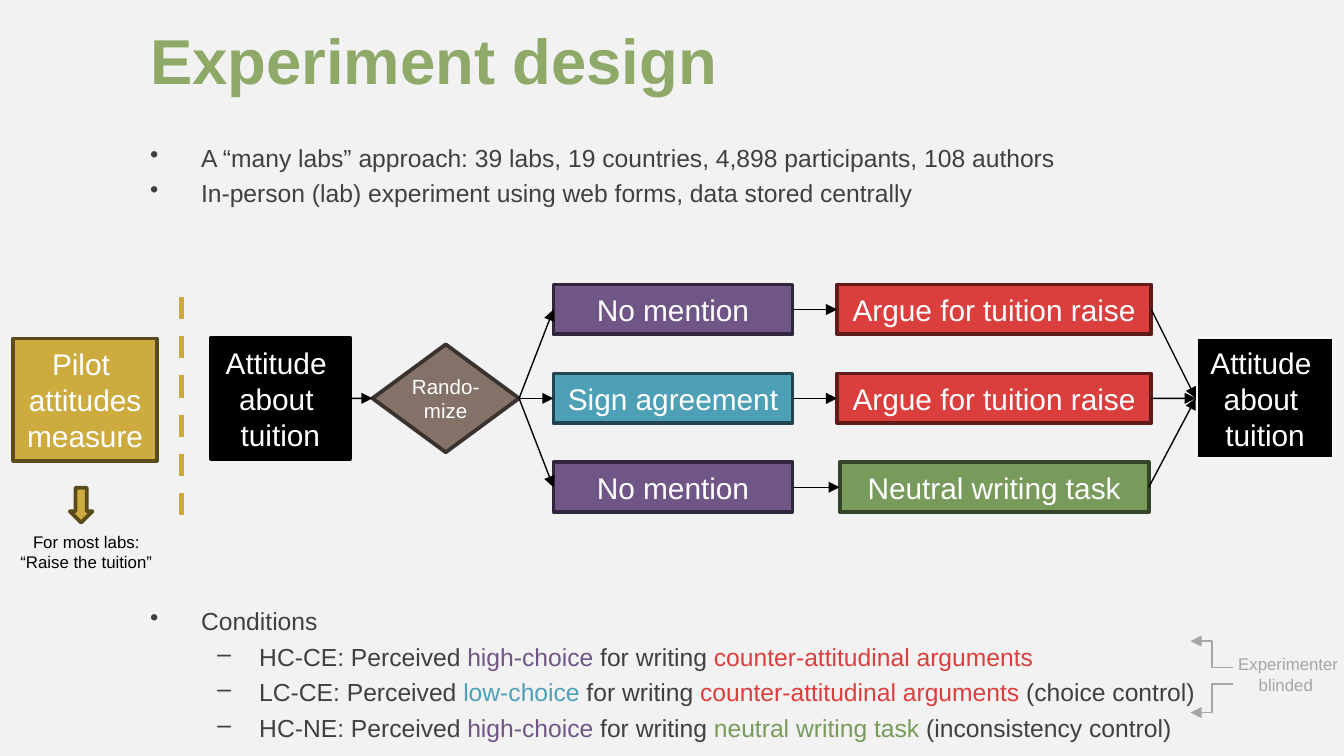
from lxml.etree import SubElement
from pptx import Presentation
from pptx.dml.color import RGBColor
from pptx.enum.dml import MSO_LINE
from pptx.enum.shapes import MSO_CONNECTOR, MSO_SHAPE
from pptx.enum.text import MSO_ANCHOR, PP_ALIGN
from pptx.oxml.ns import qn
from pptx.util import Cm, Pt

GREY, PURPLE, TEAL, RED, GREEN = "404040", "705686", "4EA0B7", "DB3F3D", "789A5B"
GOLD, GOLD_DARK, PALE = "CDAB3F", "5A4B1C", "A6A6A6"
TOP, LEFT, BOTTOM, RIGHT = range(4)
PLAIN = {"margin_left": 0, "margin_right": 0, "margin_top": 0, "margin_bottom": 0, "word_wrap": True}
LABEL = {"word_wrap": False, "vertical_anchor": MSO_ANCHOR.MIDDLE}
CAPTION = {"word_wrap": True}
CENTRED = {"alignment": PP_ALIGN.CENTER}


def apply(target, values):
    """Set each attribute of the target from a dict."""
    for name, value in values.items():
        setattr(target, name, value)


def paint(color_format, color):
    """Give a colour format its hex colour."""
    color_format.rgb = RGBColor.from_string(color)


def add_run(paragraph, text, size, color, bold=False):
    """Add one formatted run to a paragraph."""
    run = paragraph.add_run()
    run.text = text
    apply(run.font, {"name": "Arial", "size": Pt(size), "bold": bold})
    paint(run.font.color, color)


def write(shape, lines, size, color, frame_values, paragraph_values):
    """Write lines of text into a shape, one paragraph each."""
    frame = shape.text_frame
    apply(frame, frame_values)
    for index, line in enumerate(lines):
        paragraph = frame.add_paragraph() if index else frame.paragraphs[0]
        apply(paragraph, paragraph_values)
        add_run(paragraph, line, size, color)


def add_text(slide, box):
    """Add an empty text box."""
    return slide.shapes.add_textbox(*map(Cm, box))


def add_node(slide, preset, box, fill, line, lines=(), size=16, frame_values=LABEL):
    """Add an outlined shape with a centred label."""
    shape = slide.shapes.add_shape(preset, *map(Cm, box))
    shape.shadow.inherit = False
    shape.fill.solid()
    paint(shape.fill.fore_color, fill)
    paint(shape.line.color, line)
    shape.line.width = Pt(2)
    write(shape, lines, size, "FFFFFF", frame_values, CENTRED)
    return shape


def add_line(slide, ends, color, width, kind=MSO_CONNECTOR.STRAIGHT, arrow=True):
    """Add a connector between two points given in centimetres."""
    connector = slide.shapes.add_connector(kind, *map(Cm, ends))
    paint(connector.line.color, color)
    connector.line.width = Pt(width)
    if arrow:
        SubElement(connector.line._get_or_add_ln(), qn("a:tailEnd"), type="triangle")
    SubElement(connector._element.spPr, qn("a:effectLst"))
    return connector


def join(slide, start, end):
    """Draw an arrow from the right side of one shape to the left side of another."""
    connector = add_line(slide, (0, 0, 1, 1), "000000", 0.75)
    connector.begin_connect(start, RIGHT)
    connector.end_connect(end, LEFT)


def add_title(slide, box, text):
    """Place the slide title."""
    write(add_text(slide, box), [text], 34, "8FA968",
          {**PLAIN, "vertical_anchor": MSO_ANCHOR.BOTTOM}, {"line_spacing": Pt(43.2)})
    slide.shapes[-1].text_frame.paragraphs[0].runs[0].font.bold = True


def add_bullets(slide, box, items):
    """Place a bullet list of (level, coloured parts) items."""
    frame = add_text(slide, box).text_frame
    apply(frame, PLAIN)
    for index, (level, parts) in enumerate(items):
        paragraph = frame.add_paragraph() if index else frame.paragraphs[0]
        apply(paragraph, {"level": level, "space_before": Pt(3.2 if index else 0)})
        properties = paragraph._p.get_or_add_pPr()
        margin, indent, character = ((0.96, -0.96, "•"), (2.06, -0.79, "–"))[level]
        properties.set("marL", str(Cm(margin)))
        properties.set("indent", str(Cm(indent)))
        SubElement(properties, qn("a:buChar"), char=character)
        for text, color in parts:
            add_run(paragraph, text, 13.2, color)


def add_pilot(slide, box):
    """Place the pilot measure, its outcome and the dashed divider on the right edge."""
    left, top, width, height = box
    add_node(slide, MSO_SHAPE.RECTANGLE, (left + 0.12, top + 0.79, 2.72, 2.31),
             GOLD, GOLD_DARK, ["Pilot ", "attitudes", "measure"])
    add_node(slide, MSO_SHAPE.DOWN_ARROW, (left + 1.19, top + 3.61, 0.43, 0.66), GOLD, GOLD_DARK)
    write(add_text(slide, (left, top + 4.32, 3, height - 4.32)),
          ["For most labs:", "“Raise the tuition”"], 9, "000000", CAPTION, CENTRED)
    right = left + width
    divider = add_line(slide, (right, top, right, top + 4.12), "CCA93A", 3, arrow=False)
    divider.line.dash_style = MSO_LINE.DASH


def add_flow(slide, box):
    """Place the flow from first attitude measure through three conditions to the last."""
    left, top, width, height = box
    middle = top + height / 2
    node_height = 0.94
    pitch = (height - node_height) / 2
    attitude = ["Attitude ", "about ", "tuition"]
    before, after = (
        add_node(slide, MSO_SHAPE.RECTANGLE, (x, middle - 1.15, 2.62, 2.3), "000000", line, attitude)
        for x, line in ((left, "000000"), (left + width - 2.62, "F5F5F5")))
    decision = add_node(slide, MSO_SHAPE.FLOWCHART_DECISION, (left + 3.05, middle - 1.02, 2.77, 2.04),
                        "847268", "3A322E", ["Rando-mize"], 11, {**LABEL, **PLAIN})
    join(slide, before, decision)
    no_mention = ("No mention", PURPLE, "31263B")
    argue = ("Argue for tuition raise", RED, "601C1B", 5.94)
    rows = [
        (no_mention, argue),
        (("Sign agreement", TEAL, "224650"), argue),
        (no_mention, ("Neutral writing task", GREEN, "354328", 5.84)),
    ]
    for index, ((choice_text, choice_fill, choice_line), (text, fill, line, task_width)) in enumerate(rows):
        row_top = top + index * pitch
        choice = add_node(slide, MSO_SHAPE.RECTANGLE, (left + 6.47, row_top, 4.52, node_height),
                          choice_fill, choice_line, [choice_text])
        task = add_node(slide, MSO_SHAPE.RECTANGLE,
                        (left + 14.8 - task_width / 2, row_top, task_width, node_height),
                        fill, line, [text])
        for start, end in ((decision, choice), (choice, task), (task, after)):
            join(slide, start, end)


def add_blinding(slide, box):
    """Place the blinding note with its two elbow arrows."""
    left, top, width, height = box
    write(add_text(slide, (left + 0.64, top + 0.12, width - 0.64, 1.02)),
          ["Experimenter ", "blinded "], 9, PALE, CAPTION, CENTRED)
    for start, end in ((0.5, 0), (0.81, height)):
        add_line(slide, (left + 0.81, top + start, left, top + end), PALE, 0.75, MSO_CONNECTOR.ELBOW)


def main():
    """Build the slide and save it."""
    presentation = Presentation()
    apply(presentation, {"slide_width": Cm(25.4), "slide_height": Cm(14.29)})
    slide = presentation.slides.add_slide(presentation.slide_layouts[6])
    slide.background.fill.solid()
    paint(slide.background.fill.fore_color, "F2F2F2")
    add_title(slide, (2.84, 0.46, 19.86, 1.37), "Experiment design")
    add_bullets(slide, (2.84, 2.7, 19.86, 1.02), [
        (0, [("A “many labs” approach: 39 labs, 19 countries, 4,898 participants, 108 authors", GREY)]),
        (0, [("In-person (lab) experiment using web forms, data stored centrally", GREY)]),
    ])
    add_pilot(slide, (0.13, 5.61, 3.3, 5.34))
    add_flow(slide, (3.99, 5.38, 21.23, 4.3))
    arguments = (" counter-attitudinal arguments", RED)
    writing = (" for writing", GREY)
    add_bullets(slide, (2.84, 11.46, 20.29, 2.8), [
        (0, [("Conditions", GREY)]),
        (1, [("HC-CE: Perceived ", GREY), ("high-choice", PURPLE), writing, arguments]),
        (1, [("LC-CE: Perceived ", GREY), ("low-choice", TEAL), writing, arguments,
             (" (choice control)", GREY)]),
        (1, [("HC-NE: Perceived ", GREY), ("high-choice", PURPLE), writing,
             (" neutral writing task", GREEN), (" (inconsistency control)", GREY)]),
    ])
    add_blinding(slide, (22.5, 12.12, 3.05, 1.35))
    presentation.save("out.pptx")


if __name__ == "__main__":
    main()
